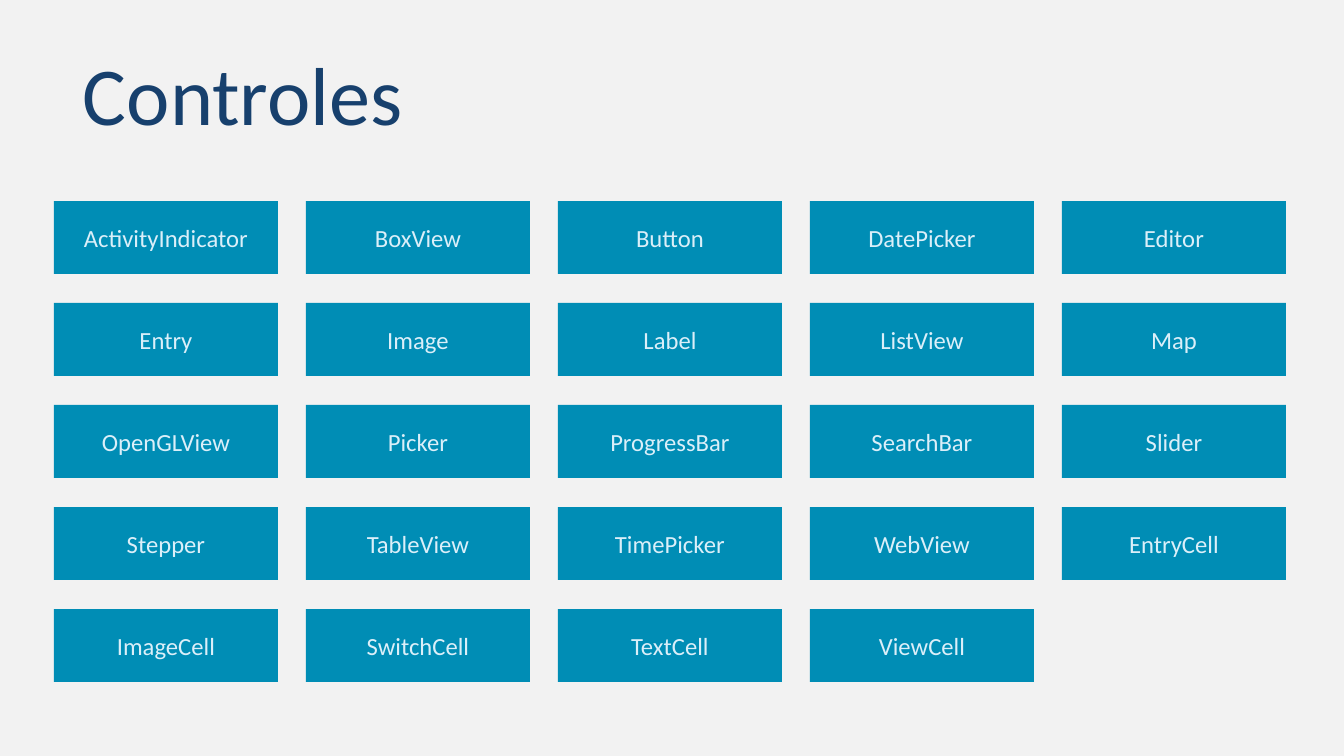
from pptx import Presentation, util as u
from pptx.dml.color import RGBColor
from pptx.enum import shapes, text

# Content
TITLE = "Controles"
CONTROLS = [
    "ActivityIndicator", "BoxView", "Button", "DatePicker", "Editor",
    "Entry", "Image", "Label", "ListView", "Map",
    "OpenGLView", "Picker", "ProgressBar", "SearchBar", "Slider",
    "Stepper", "TableView", "TimePicker", "WebView", "EntryCell",
    "ImageCell", "SwitchCell", "TextCell", "ViewCell",
]

# Style and grid, lengths in px
COLORS = {"back": "F2F2F2", "title": "17406D", "tile": "008DB5", "label": "DBEFF9"}
FONT = "Calibri"
SLIDE_W, SLIDE_H = 1344, 756
COLUMNS = 5
LEFT, TOP = 54, 201
TILE_W, TILE_H = 224, 73
STEP_X, STEP_Y = 252, 102


def px(n):
    return u.Emu(round(n * 914400 / 100.8))


def color(name):
    return RGBColor.from_string(COLORS[name])


def add_run(tf, words, size, name, align):
    p = tf.paragraphs[0]
    p.alignment = align
    r = p.add_run()
    r.text = words
    r.font.size = u.Pt(size)
    r.font.name = FONT
    r.font.color.rgb = color(name)


def add_tile(s, label, x, y):
    sp = s.shapes.add_shape(shapes.MSO_SHAPE.ROUNDED_RECTANGLE,
                            px(x), px(y), px(TILE_W), px(TILE_H))
    sp.adjustments[0] = 0
    sp.shadow.inherit = False
    sp.fill.solid()
    sp.fill.fore_color.rgb = color("tile")
    sp.line.fill.background()
    tf = sp.text_frame
    tf.word_wrap = True
    tf.vertical_anchor = text.MSO_ANCHOR.MIDDLE
    add_run(tf, label, 17.6, "label", text.PP_ALIGN.CENTER)


def add_title(s):
    tf = s.shapes.add_textbox(px(68), px(30), px(1210), px(126)).text_frame
    tf.word_wrap = True
    tf.margin_left = tf.margin_right = px(15)
    tf.margin_top = tf.margin_bottom = px(12)
    tf.vertical_anchor = text.MSO_ANCHOR.MIDDLE
    add_run(tf, TITLE, 58.7, "title", text.PP_ALIGN.LEFT)


def main():
    prs = Presentation()
    prs.slide_width, prs.slide_height = px(SLIDE_W), px(SLIDE_H)
    s = prs.slides.add_slide(prs.slide_layouts[6])
    s.background.fill.solid()
    s.background.fill.fore_color.rgb = color("back")

    # Tiles, row by row
    for i, label in enumerate(CONTROLS):
        row, col = divmod(i, COLUMNS)
        add_tile(s, label, LEFT + col * STEP_X, TOP + row * STEP_Y)

    add_title(s)
    prs.save("out.pptx")


if __name__ == "__main__":
    main()
